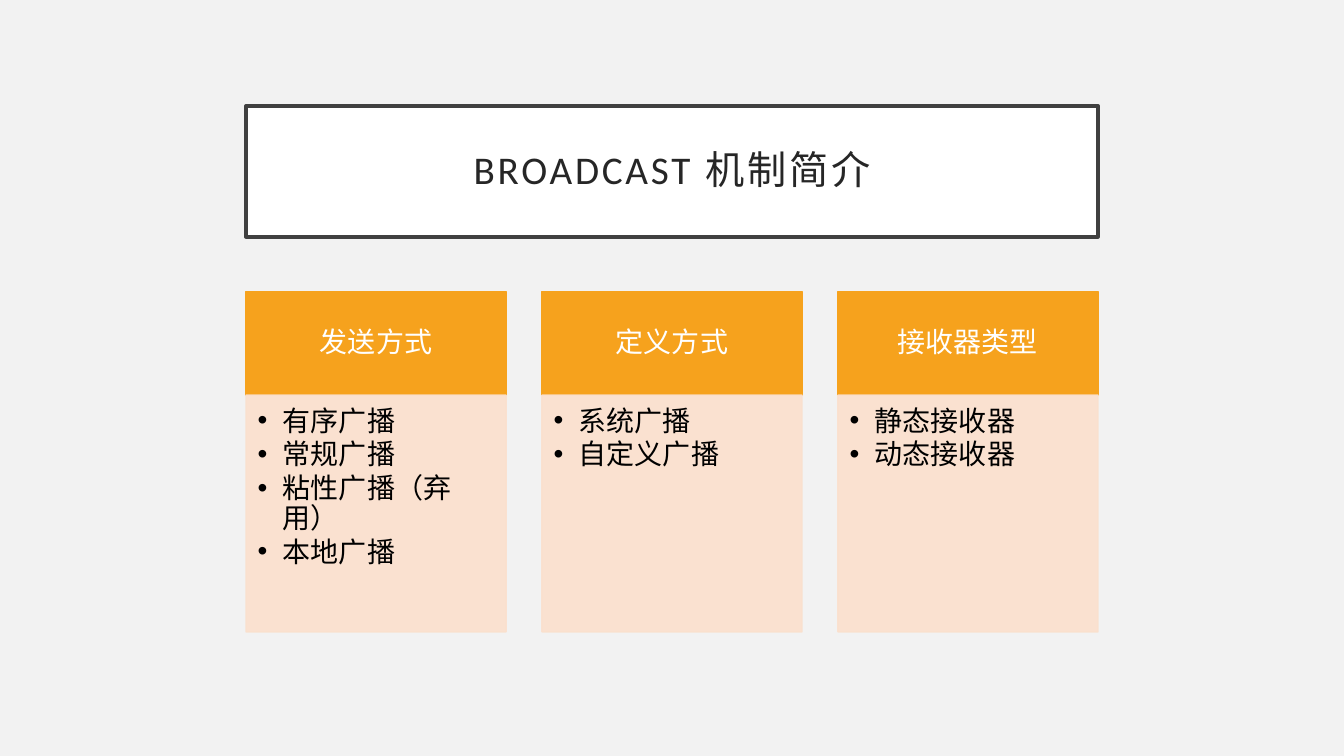
"""Build a slide that sums up the broadcast mechanism in three columns."""
from lxml.etree import SubElement
from pptx import Presentation
from pptx.dml.color import RGBColor
from pptx.enum.shapes import MSO_SHAPE
from pptx.enum.text import MSO_ANCHOR, PP_ALIGN
from pptx.oxml.ns import qn
from pptx.util import Pt

TITLE = "BROADCAST 机制简介"
COLUMNS = [
    ("发送方式", ["有序广播", "常规广播", "粘性广播（弃用）", "本地广播"]),
    ("定义方式", ["系统广播", "自定义广播"]),
    ("接收器类型", ["静态接收器", "动态接收器"]),
]

FONT = "Calibri"
PAPER = RGBColor(0xF2, 0xF2, 0xF2)
WHITE = RGBColor(0xFF, 0xFF, 0xFF)
BLACK = RGBColor(0x00, 0x00, 0x00)
FRAME = RGBColor(0x40, 0x40, 0x40)
INK = RGBColor(0x26, 0x26, 0x26)
ORANGE = RGBColor(0xF6, 0xA2, 0x1D)
PEACH = RGBColor(0xFB, 0xE0, 0xCD)

LEFT, WIDE = 175.7, 608.6
COL_W = 185.8
STEP = (WIDE - COL_W) / (len(COLUMNS) - 1)
HEAD_Y, HEAD_H, BODY_H = 208.1, 74.1, 169.2


def add_box(slide, area, fill, edge, weight, inset, anchor):
    box = slide.shapes.add_shape(MSO_SHAPE.RECTANGLE, *map(Pt, area))
    box.shadow.inherit = False
    box.fill.solid()
    box.fill.fore_color.rgb = fill
    box.line.color.rgb = edge
    box.line.width = Pt(weight)
    frame = box.text_frame
    frame.word_wrap = True
    frame.vertical_anchor = anchor
    (frame.margin_left, frame.margin_top,
     frame.margin_right, frame.margin_bottom) = map(Pt, inset)
    return box


def add_text(para, text, size, color, align):
    para.alignment = align
    para.line_spacing = 0.9
    run = para.add_run()
    run.text = text
    run.font.size = Pt(size)
    run.font.name = FONT
    run.font.color.rgb = color
    return run


def add_bullet(para):
    props = para._p.get_or_add_pPr()
    props.set("marL", str(Pt(18)))
    props.set("indent", str(Pt(-18)))
    SubElement(props, qn("a:buFont")).set("typeface", "Arial")
    SubElement(props, qn("a:buChar")).set("char", "•")


def add_title(slide):
    box = add_box(slide, (LEFT, 75.6, WIDE, 93.6), WHITE, FRAME, 2.5,
                  (14.4,) * 4, MSO_ANCHOR.MIDDLE)
    run = add_text(box.text_frame.paragraphs[0], TITLE, 28, INK,
                   PP_ALIGN.CENTER)
    run.font._element.set("spc", "200")


def add_column(slide, left, head, items):
    top = add_box(slide, (left, HEAD_Y, COL_W, HEAD_H), ORANGE, ORANGE, 1,
                  (11.2, 6.4, 11.2, 6.4), MSO_ANCHOR.MIDDLE)
    add_text(top.text_frame.paragraphs[0], head, 20, WHITE, PP_ALIGN.CENTER)
    body = add_box(slide, (left, HEAD_Y + HEAD_H, COL_W, BODY_H), PEACH, PEACH,
                   1, (8.4, 8.4, 11.2, 12.6), MSO_ANCHOR.TOP)
    for tint in body._element.spPr.iter(qn("a:srgbClr")):
        SubElement(tint, qn("a:alpha")).set("val", "90000")
    frame = body.text_frame
    for i, item in enumerate(items):
        para = frame.add_paragraph() if i else frame.paragraphs[0]
        add_bullet(para)
        para.level = 1
        para.space_after = Pt(2.4)
        add_text(para, item, 20, BLACK, PP_ALIGN.LEFT)


def main():
    deck = Presentation()
    deck.slide_width, deck.slide_height = Pt(960), Pt(540)
    slide = deck.slides.add_slide(deck.slide_layouts[6])
    slide.background.fill.solid()
    slide.background.fill.fore_color.rgb = PAPER
    add_title(slide)
    for i, (head, items) in enumerate(COLUMNS):
        add_column(slide, LEFT + i * STEP, head, items)
    deck.save("out.pptx")


if __name__ == "__main__":
    main()
